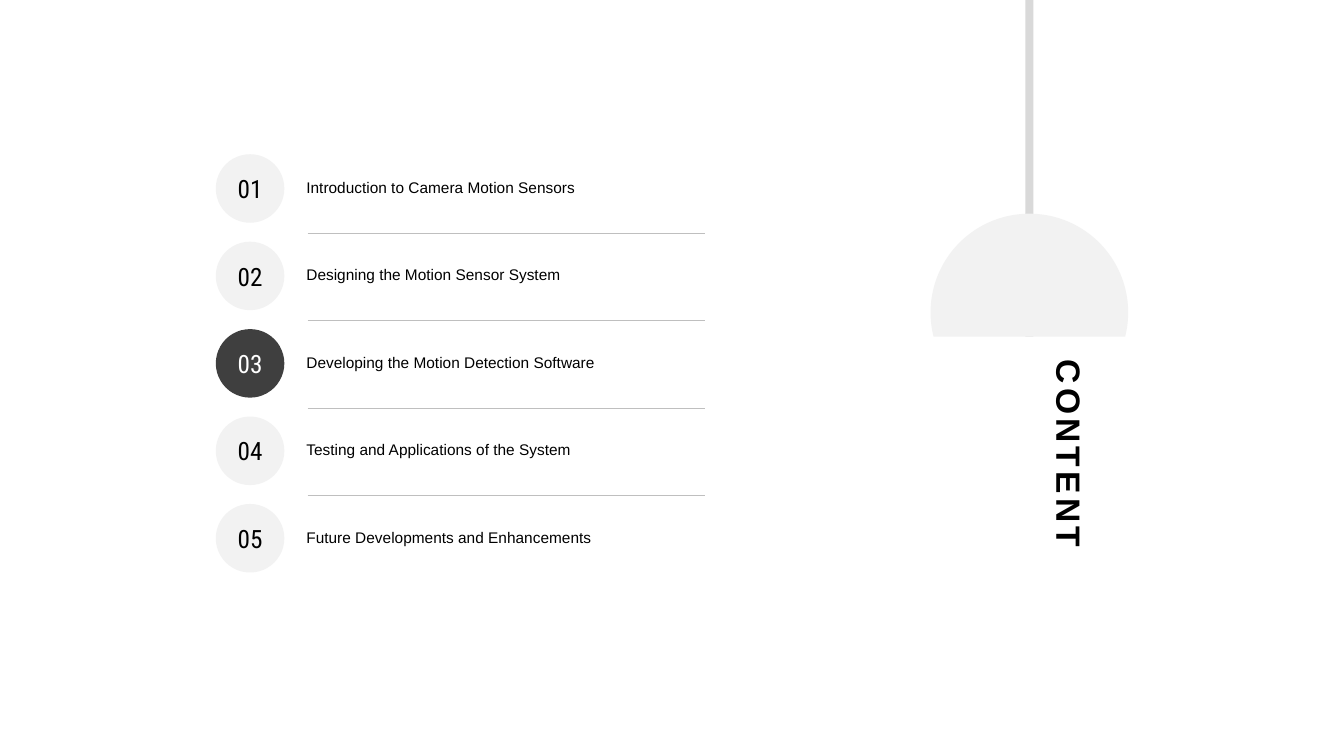
from math import asin, cos, pi, sin

from lxml.etree import SubElement
from pptx import Presentation
from pptx.dml.color import RGBColor
from pptx.enum.shapes import MSO_CONNECTOR, MSO_SHAPE
from pptx.enum.text import MSO_ANCHOR, PP_ALIGN
from pptx.oxml.ns import qn
from pptx.util import Inches, Pt

COLORS = {
    "background": "FFFFFF",
    "text": "000000",
    "active_text": "FFFFFF",
    "circle": "F2F2F2",
    "active_circle": "3F3F3F",
    "shade": "F2F2F2",
    "cord": "D9D9D9",
    "rule": "BFBFBF",
}
CHAPTERS = [
    "Introduction to Camera Motion Sensors",
    "Designing the Motion Sensor System",
    "Developing the Motion Detection Software",
    "Testing and Applications of the System",
    "Future Developments and Enhancements",
]
ACTIVE_CHAPTER = 3


def color(name):
    return RGBColor.from_string(COLORS[name])


def paint(shape, fill):
    shape.fill.solid()
    shape.fill.fore_color.rgb = color(fill)
    shape.line.fill.background()
    shape.shadow.inherit = False


def write(shape, text, font="Arial", size=11, fill="text", bold=False,
          align=PP_ALIGN.LEFT, anchor=MSO_ANCHOR.TOP, line_spacing=1.0,
          letter_spacing=0, vertical=False, wrap=True):
    frame = shape.text_frame
    frame.word_wrap = wrap
    frame.vertical_anchor = anchor
    para = frame.paragraphs[0]
    para.alignment = align
    para.line_spacing = line_spacing
    span = para.add_run()
    span.text = text
    span.font.name = font
    span.font.size = Pt(size)
    span.font.bold = bold
    span.font.color.rgb = color(fill)
    if letter_spacing:
        span.font._element.set("spc", str(letter_spacing * 100))
    if vertical:
        frame._txBody.bodyPr.set("vert", "eaVert")


def add_rule(page, left, top, width):
    rule = page.shapes.add_connector(
        MSO_CONNECTOR.STRAIGHT, Inches(left), Inches(top),
        Inches(left + width), Inches(top))
    rule.line.color.rgb = color("rule")
    rule.line.width = Pt(0.25)
    SubElement(rule._element.spPr, qn("a:effectLst"))


def add_chapter_list(page, left, top, width, height):
    diameter = 0.68
    pitch = (height - diameter) / (len(CHAPTERS) - 1)
    for index, title in enumerate(CHAPTERS):
        number = index + 1
        row_top = top + index * pitch
        active = number == ACTIVE_CHAPTER

        # Number circle
        circle = page.shapes.add_shape(
            MSO_SHAPE.OVAL, Inches(left), Inches(row_top),
            Inches(diameter), Inches(diameter))
        paint(circle, "active_circle" if active else "circle")
        write(circle, f"{number:02}", font="Roboto Condensed", size=18,
              fill="active_text" if active else "text", wrap=False,
              align=PP_ALIGN.CENTER, anchor=MSO_ANCHOR.MIDDLE)

        # Chapter title
        box = page.shapes.add_textbox(
            Inches(left + 0.8), Inches(row_top + 0.15),
            Inches(width - 0.8), Inches(0.38))
        write(box, title, line_spacing=1.2)

        # Rule between rows
        if number < len(CHAPTERS):
            add_rule(page, left + 0.91, row_top + 0.78, 3.94)


def add_lamp(page, left, top, width, height):
    radius = width / 2
    center_x = left + radius
    drop = 0.24  # from the circle's center down to the flat edge
    center_y = top + height - drop
    cord_width = 0.08

    # Cord
    cord = page.shapes.add_shape(
        MSO_SHAPE.RECTANGLE, Inches(center_x - cord_width / 2), 0,
        Inches(cord_width), Inches(top + height))
    paint(cord, "cord")

    # Shade: a circle cut off below its center
    cut = asin(drop / radius)
    steps = 120
    angles = [pi - cut + step * (pi + 2 * cut) / steps
              for step in range(steps + 1)]
    points = [(Inches(center_x + radius * cos(angle)),
               Inches(center_y + radius * sin(angle))) for angle in angles]
    outline = page.shapes.build_freeform(*points[0])
    outline.add_line_segments(points[1:], close=True)
    paint(outline.convert_to_shape(), "shade")

    # Vertical heading
    heading = page.shapes.add_textbox(
        Inches(center_x + 0.04), Inches(top + height + 0.13),
        Inches(0.61), Inches(2.16))
    write(heading, "CONTENT", size=24, bold=True, letter_spacing=3,
          vertical=True)


def main():
    deck = Presentation()
    deck.slide_width = Inches(13.33)
    deck.slide_height = Inches(7.5)
    page = deck.slides.add_slide(deck.slide_layouts[6])
    page.background.fill.solid()
    page.background.fill.fore_color.rgb = color("background")
    add_lamp(page, 9.23, 2.12, 1.96, 1.22)
    add_chapter_list(page, 2.14, 1.53, 5.25, 4.15)
    deck.save("out.pptx")


if __name__ == "__main__":
    main()
